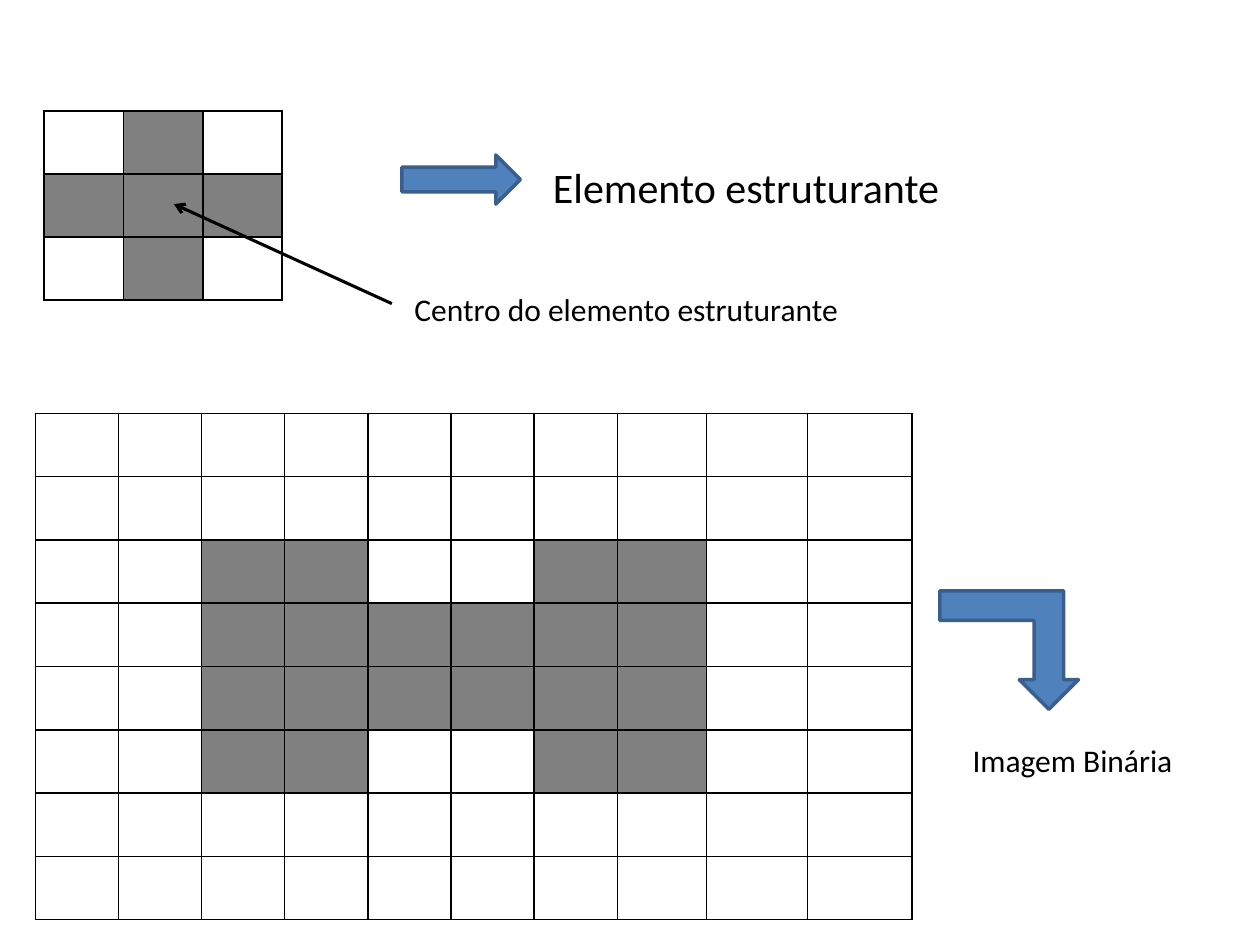
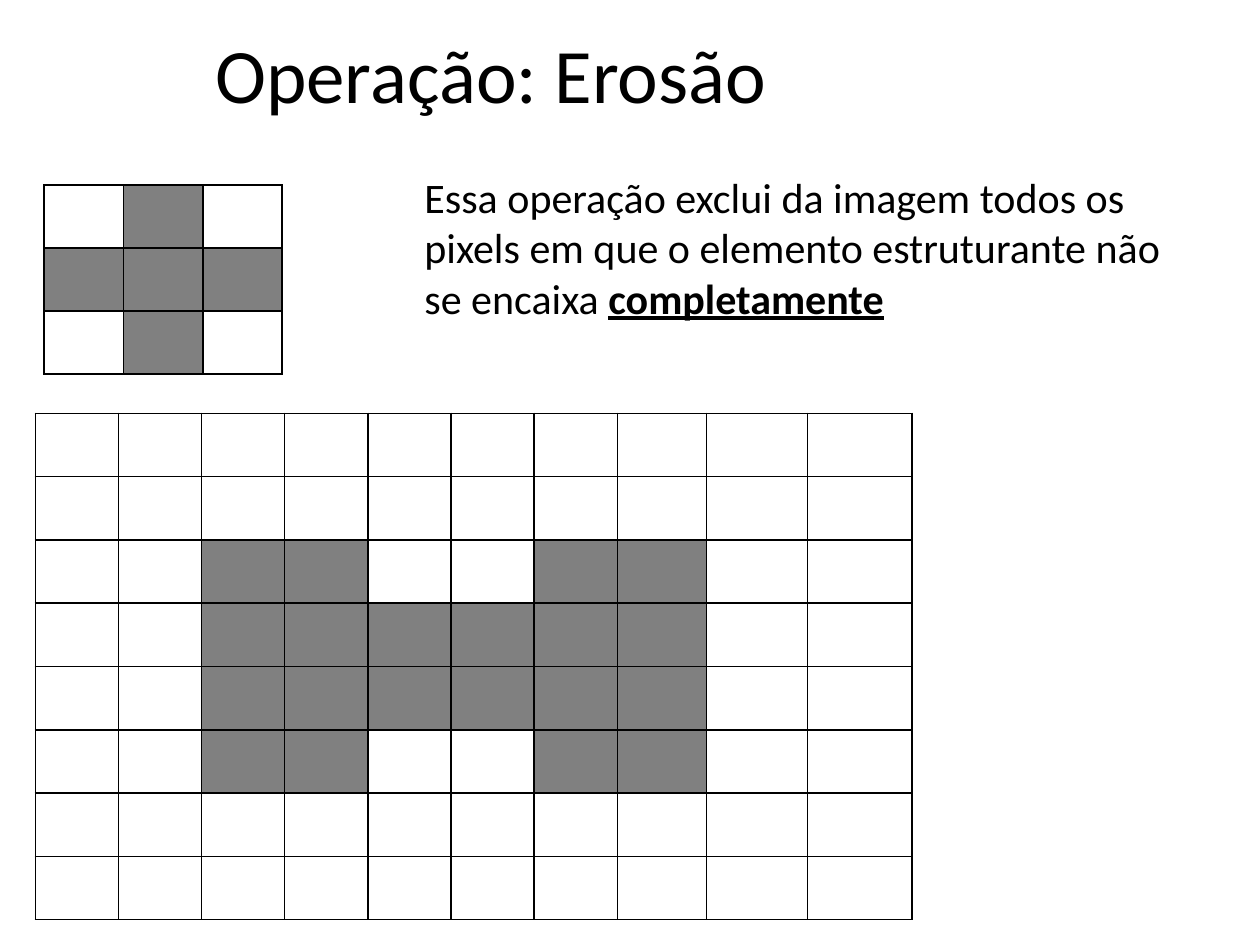
from pptx import Presentation
from pptx.dml.color import RGBColor
from pptx.enum.shapes import MSO_CONNECTOR, MSO_SHAPE
from pptx.oxml.ns import qn
from pptx.util import Inches, Pt
from lxml import etree

LINE = MSO_CONNECTOR.STRAIGHT
RIGHT = MSO_SHAPE.RIGHT_ARROW
BENT = MSO_SHAPE.BENT_UP_ARROW

BLACK = RGBColor(0, 0, 0)
WHITE = RGBColor(255, 255, 255)
GRAY = RGBColor(128, 128, 128)
BLUE = RGBColor(0x4F, 0x81, 0xBD)
NAVY = RGBColor(0x3A, 0x5F, 0x8C)
FONT = "Calibri"

# "#" is a set pixel, "o" a white one, "." an unfilled cell
FILLS = {"#": GRAY, "o": WHITE}
CROSS = [".#.", "###", ".#."]
IMAGE = [
    "oooooooooo",
    "oooooooooo",
    "oo##oo##oo",
    "oo######oo",
    "oo######oo",
    "oo##oo##oo",
    "oooooooooo",
    "oooooooooo",
]
CROSS_COLS = [0.63] * 3
IMAGE_COLS = [0.66] * 7 + [0.71, 0.8, 0.83]

SLIDES = [
    {
        "cross_top": 0.88,
        "arrows": [
            (RIGHT, (3.19, 1.23, 0.94, 0.39), False),
            (BENT, (7.46, 4.69, 1.1, 0.94), True),
        ],
        "pointers": [(3.11, 2.41, 1.38, 1.62)],
        "texts": [
            ((4.29, 1.23, 3.71, 0.5), 24, "Elemento estruturante", ""),
            ((7.62, 5.83, 1.88, 0.4), 18, "Imagem Binária", ""),
            ((3.19, 2.25, 4.09, 0.4), 18, "Centro do elemento estruturante", ""),
        ],
    },
    {
        "cross_top": 1.47,
        "arrows": [],
        "pointers": [],
        "texts": [
            ((1.61, 0.16, 5.98, 0.84), 44, "Operação: Erosão", ""),
            ((3.27, 1.31, 6.06, 1.31), 24,
             "Essa operação exclui da imagem todos os pixels em que "
             "o elemento estruturante não se encaixa ", "completamente"),
        ],
    },
]


def inches(values):
    return [Inches(v) for v in values]


def add_border(cell):
    props = cell._tc.get_or_add_tcPr()
    for i, side in enumerate(("lnL", "lnR", "lnT", "lnB")):
        edge = etree.Element(qn("a:" + side), w=str(Pt(1)))
        fill = etree.SubElement(edge, qn("a:solidFill"))
        etree.SubElement(fill, qn("a:srgbClr"), val=str(BLACK))
        props.insert(i, edge)


def add_grid(slide, left, top, height, cols, rows):
    """Draw a pixel pattern as a table."""
    box = inches((left, top, sum(cols), height))
    table = slide.shapes.add_table(len(rows), len(cols), *box).table
    table.first_row = table.horz_banding = False
    for col, width in zip(table.columns, cols):
        col.width = Inches(width)
    for row, marks in zip(table.rows, rows):
        row.height = Inches(height / len(rows))
        for cell, mark in zip(row.cells, marks):
            if mark in FILLS:
                cell.fill.solid()
                cell.fill.fore_color.rgb = FILLS[mark]
            else:
                cell.fill.background()
            add_border(cell)


def add_arrow(slide, kind, box, flip):
    arrow = slide.shapes.add_shape(kind, *inches(box))
    arrow.shadow.inherit = False
    arrow.fill.solid()
    arrow.fill.fore_color.rgb = BLUE
    arrow.line.color.rgb = NAVY
    arrow.line.width = Pt(2)
    if flip:
        arrow._element.spPr.find(qn("a:xfrm")).set("flipV", "1")


def add_pointer(slide, ends):
    line = slide.shapes.add_connector(LINE, *inches(ends))
    line.line.color.rgb = BLACK
    line.line.width = Pt(1.75)
    etree.SubElement(line.line._get_or_add_ln(), qn("a:tailEnd"), type="arrow")
    etree.SubElement(line._element.spPr, qn("a:effectLst"))


def add_text(slide, box, size, text, strong):
    """Add a text box; the strong part is bold and underlined."""
    frame = slide.shapes.add_textbox(*inches(box)).text_frame
    frame.word_wrap = True
    frame.text = text
    para = frame.paragraphs[0]
    if strong:
        run = para.add_run()
        run.text = strong
        run.font.bold = run.font.underline = True
    for run in para.runs:
        run.font.name = FONT
        run.font.size = Pt(size)
        run.font.color.rgb = BLACK


def main():
    deck = Presentation()
    deck.slide_width, deck.slide_height = Inches(10), Inches(7.5)
    for spec in SLIDES:
        slide = deck.slides.add_slide(deck.slide_layouts[6])
        add_grid(slide, 0.28, 3.28, 4.02, IMAGE_COLS, IMAGE)
        add_grid(slide, 0.35, spec["cross_top"], 1.5, CROSS_COLS, CROSS)
        for arrow in spec["arrows"]:
            add_arrow(slide, *arrow)
        for ends in spec["pointers"]:
            add_pointer(slide, ends)
        for text in spec["texts"]:
            add_text(slide, *text)
    deck.save("out.pptx")


if __name__ == "__main__":
    main()
